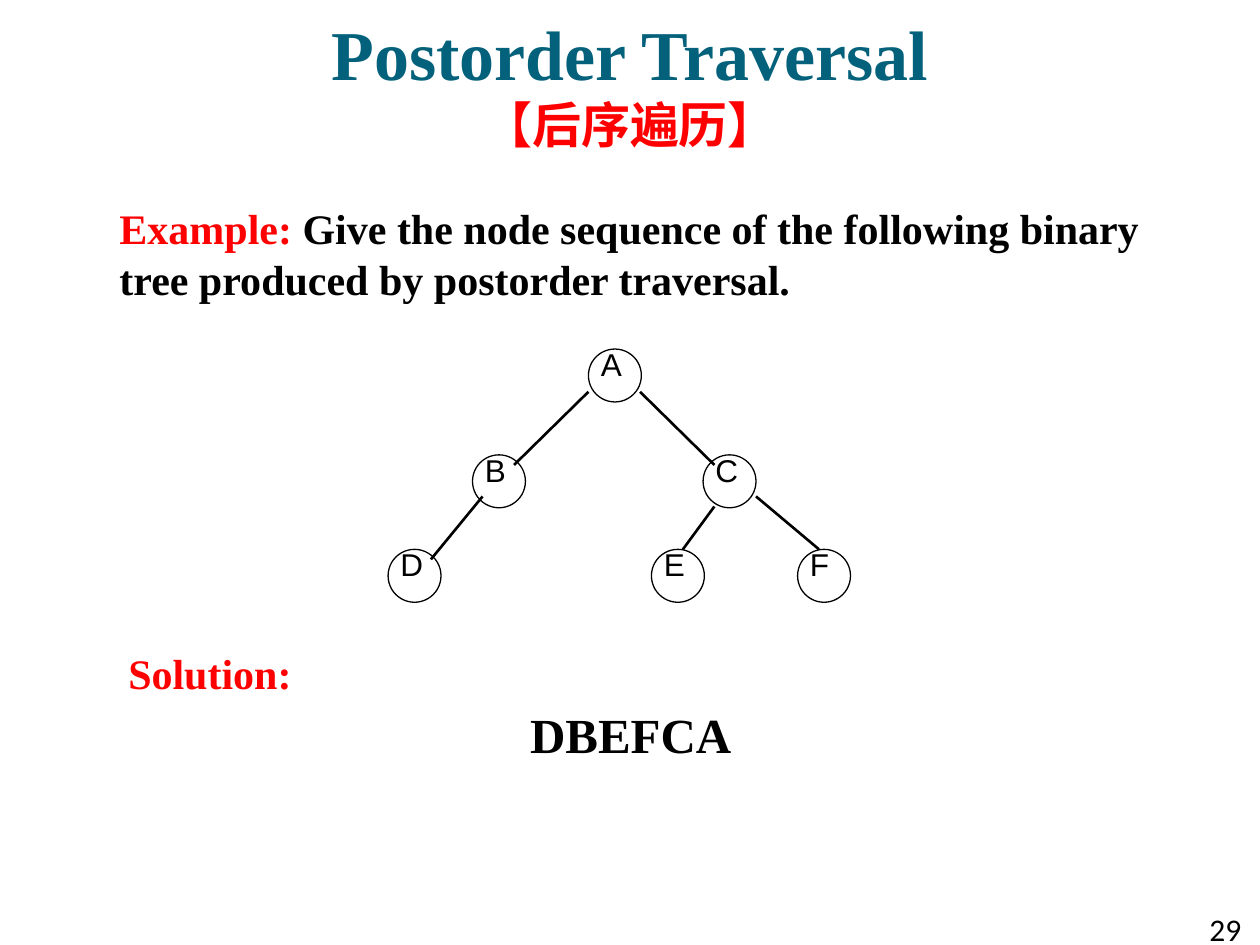
from lxml.etree import SubElement
from pptx import Presentation
from pptx.dml.color import RGBColor
from pptx.enum.shapes import MSO_CONNECTOR, MSO_SHAPE
from pptx.enum.text import MSO_ANCHOR, MSO_AUTO_SIZE, PP_ALIGN
from pptx.oxml.ns import qn
from pptx.util import Inches, Pt

BLACK = RGBColor(0, 0, 0)
RED = RGBColor(255, 0, 0)
TEAL = RGBColor(0x04, 0x61, 0x7B)
SERIF = "Times New Roman"

TITLE = [("Postorder Traversal", 40, TEAL), ("【后序遍历】", 28, RED)]
EXAMPLE = [
    ("Example: ", RED),
    ("Give the node sequence of the following binary tree produced by postorder traversal.", BLACK),
]
SOLUTION = [
    ("Solution:", 24, RED, PP_ALIGN.LEFT),
    ("DBEFCA", 28, BLACK, PP_ALIGN.CENTER),
]
PAGE_NUMBER = "29"
NODES = {
    "A": (4.67, 2.77),
    "B": (3.75, 3.61),
    "D": (3.08, 4.36),
    "E": (5.17, 4.36),
    "F": (6.33, 4.36),
    "C": (5.58, 3.61),
}
EDGES = [
    (4.67, 3.11, 4.08, 3.69),
    (3.83, 3.94, 3.42, 4.44),
    (5.08, 3.11, 5.67, 3.69),
    (5.67, 4.02, 5.42, 4.36),
    (6, 3.94, 6.5, 4.36),
]
NODE_SIZE = 0.42
LABEL_RISE = 0.08


def style(font, name, size, color, bold=False):
    font.name = name
    font.size = Pt(size)
    font.color.rgb = color
    font.bold = bold


def add_text_frame(shapes, left, top, width, height):
    box = shapes.add_textbox(Inches(left), Inches(top), Inches(width), Inches(height))
    box.text_frame.word_wrap = True
    return box.text_frame


def add_label(shapes, text, font_name, *place):
    paragraph = add_text_frame(shapes, *place).paragraphs[0]
    paragraph.text = text
    style(paragraph.font, font_name, 18, BLACK)


def add_node(shapes, name, left, top):
    circle = shapes.add_shape(
        MSO_SHAPE.OVAL, Inches(left), Inches(top), Inches(NODE_SIZE), Inches(NODE_SIZE)
    )
    circle.shadow.inherit = False
    circle.fill.background()
    circle.line.color.rgb = BLACK
    circle.line.width = Pt(0.75)
    add_label(shapes, name, "Arial", left, top - LABEL_RISE, 0.58, 0.5)


def add_edge(shapes, *ends):
    edge = shapes.add_connector(MSO_CONNECTOR.STRAIGHT, *map(Inches, ends))
    edge.line.color.rgb = BLACK
    edge.line.width = Pt(1.5)
    SubElement(edge._element.spPr, qn("a:effectLst"))


def fill_title(title):
    title.left, title.top, title.width, title.height = map(Inches, (0, 0, 10, 1.3))
    frame = title.text_frame
    frame.auto_size = MSO_AUTO_SIZE.NONE
    frame.vertical_anchor = MSO_ANCHOR.MIDDLE
    paragraph = frame.paragraphs[0]
    paragraph.alignment = PP_ALIGN.CENTER
    for index, (text, size, color) in enumerate(TITLE):
        if index:
            paragraph.add_line_break()
        run = paragraph.add_run()
        run.text = text
        style(run.font, SERIF, size, color, bold=True)


def add_example(shapes):
    paragraph = add_text_frame(shapes, 0.85, 1.56, 8.63, 0.91).paragraphs[0]
    for text, color in EXAMPLE:
        run = paragraph.add_run()
        run.text = text
        style(run.font, SERIF, 24, color, bold=True)


def add_solution(shapes):
    frame = add_text_frame(shapes, 0.92, 5.09, 8.17, 1.03)
    for index, (text, size, color, alignment) in enumerate(SOLUTION):
        paragraph = frame.add_paragraph() if index else frame.paragraphs[0]
        paragraph.text = text
        paragraph.alignment = alignment
        paragraph.space_before = Pt(4)
        style(paragraph.font, SERIF, size, color, bold=True)


def main():
    presentation = Presentation()
    presentation.slide_width, presentation.slide_height = Inches(10), Inches(7.5)
    slide = presentation.slides.add_slide(presentation.slide_layouts[5])
    fill_title(slide.shapes.title)
    tree = slide.shapes.add_group_shape()
    for name, place in NODES.items():
        add_node(tree.shapes, name, *place)
    for ends in EDGES:
        add_edge(tree.shapes, *ends)
    add_example(slide.shapes)
    add_solution(slide.shapes)
    add_label(slide.shapes, PAGE_NUMBER, "Calibri", 9.5, 7.17, 0.5, 0.4)
    presentation.save("out.pptx")


if __name__ == "__main__":
    main()
